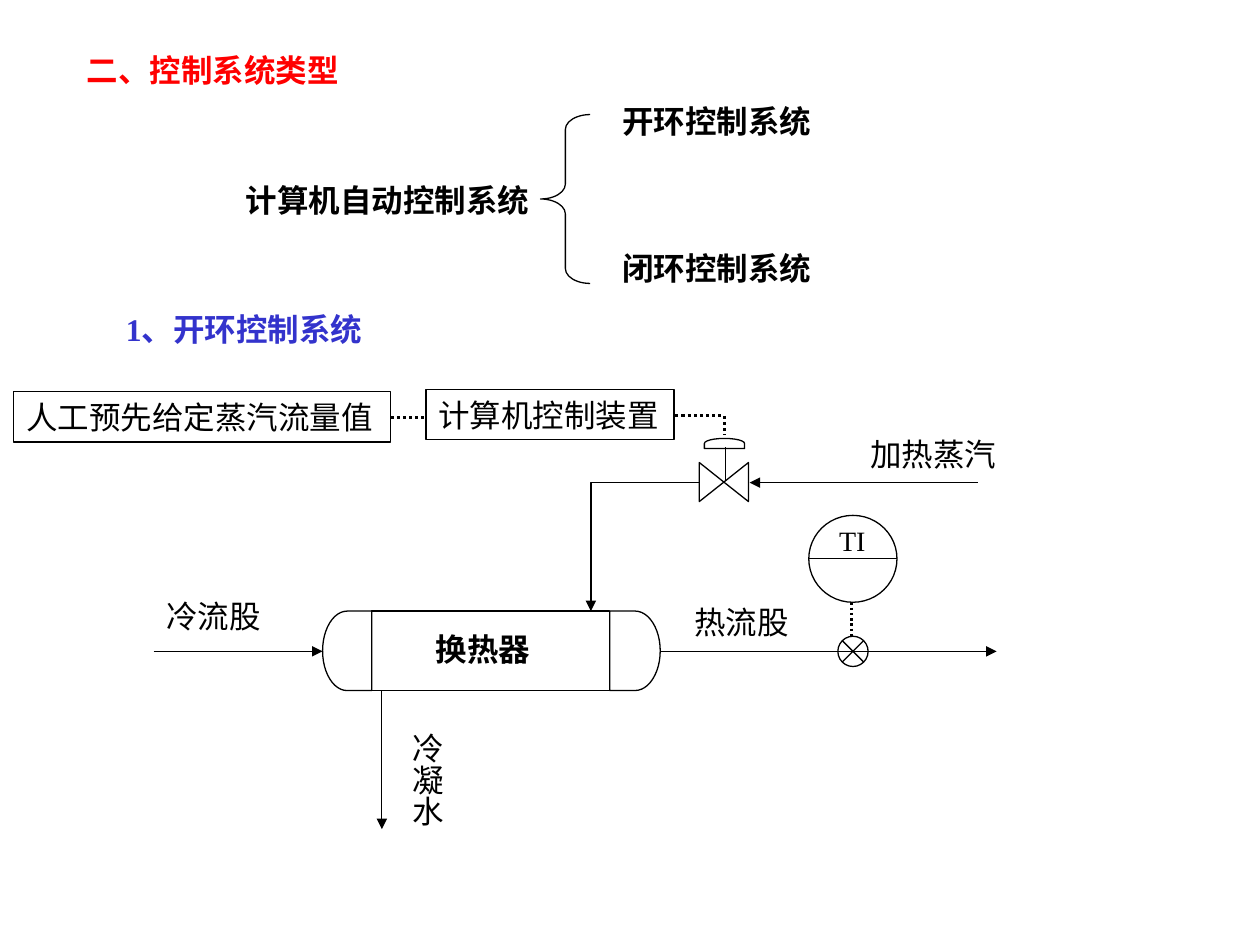
from dataclasses import dataclass

from lxml import etree
from pptx import Presentation
from pptx import util as u
from pptx.dml.color import RGBColor
from pptx.enum import dml, shapes, text
from pptx.oxml.ns import qn

Pt = u.Pt
Kind = shapes.MSO_SHAPE
BLACK = RGBColor(0, 0, 0)
RED = RGBColor(0xFF, 0, 0)
BLUE = RGBColor(0x33, 0x33, 0xCC)
FACE = "Times New Roman"
ROW = 28.8       # height of a one-line box
FLOW = 372.2     # axis of the cold and hot streams
STEAM = 275.8    # axis of the steam pipe
TOP = 349.2      # exchanger top
TALL = 45.4      # exchanger height
LINK = 238.32    # axis of the set-point signal


@dataclass
class Label:
    words: str
    x: float
    y: float
    w: float
    h: float = ROW
    size: float = 18
    bold: bool = False
    color: RGBColor = BLACK
    tall: bool = False


@dataclass
class Part:
    kind: Kind
    x: float
    y: float
    w: float
    h: float
    turn: float = 0


@dataclass
class Path:
    spots: list
    width: float = 0.75
    arrow: bool = False
    dots: bool = False


LABELS = [
    Label("二、控制系统类型", 42.5, 25.9, 311.8, bold=True, color=RED),
    Label("计算机自动控制系统", 133.2, 100.1, 181.4, bold=True),
    Label("开环控制系统", 348.5, 54.7, 141.8, bold=True),
    Label("闭环控制系统", 348.5, 139, 141.8, bold=True),
    Label("1、开环控制系统", 64.8, 173.5, 238.3, bold=True, color=BLUE),
    Label("换热器", 241.9, 356.4, 73.4, bold=True),
    Label("冷流股", 87.8, 337.7, 85),
    Label("热流股", 389.5, 341.3, 85),
    Label("加热蒸汽", 490.3, 244.8, 91.4),
    Label("冷凝水", 222.5, 411.8, 36, 73.4, tall=True),
    Label(" TI", 468.7, 295.9, 40.3, 26.6, size=16),
]
SETTER = Label("人工预先给定蒸汽流量值", 7.9, 223.92, 215.3)
DEVICE = Label("计算机控制装置", 243.4, 222.5, 141.8)

PARTS = [
    Part(Kind.FLOWCHART_DELAY, 184.3, TOP, 28.1, TALL, 180),
    Part(Kind.FLOWCHART_DELAY, 348.5, TOP, 28.8, TALL),
    Part(Kind.RECTANGLE, 212.4, TOP, 136.1, TALL),
    Part(Kind.FLOWCHART_COLLATE, 402.5, 261.4, 22.3, 28.1, 270),
    Part(Kind.FLOWCHART_DELAY, 411.1, 241.9, 5.8, 23, 270),
    Part(Kind.OVAL, 462.2, 294.5, 50.4, 49.7),
    Part(Kind.FLOWCHART_SUMMING_JUNCTION, 478.8, 363.6, 17.3, 17.3),
]
BRACE = Part(Kind.LEFT_BRACE, 308.9, 65.5, 28.4, 96.5)

PATHS = [
    Path([(87.8, FLOW), (184.3, FLOW)], arrow=True),
    Path([(377.3, FLOW), (569.5, FLOW)], arrow=True),
    Path([(558.7, STEAM), (428.4, STEAM)], arrow=True),
    Path([(399.6, STEAM), (337.7, STEAM), (337.7, TOP)], arrow=True),
    Path([(218.2, TOP + TALL), (218.2, 473.8)], arrow=True),
    Path([(414.7, 255.6), (414.7, 275)]),
    Path([(462.2, 319), (512.6, 319)]),
    Path([(486.7, 344.2), (486.7, 364.3)], 1.5, dots=True),
    Path([(385.9, 237.6), (414, 237.6), (414, 248.4)], 1.75, dots=True),
]
SIGNAL = Path([(223.2, LINK), (243.4, LINK)], 1.75, dots=True)


def apply(obj, values: dict) -> None:
    for key, value in values.items():
        setattr(obj, key, value)


def frame(item) -> list:
    return [Pt(n) for n in (item.x, item.y, item.w, item.h)]


def write(shape, label: Label) -> None:
    body = shape.text_frame
    side, edge = (3.6, 7.2) if label.tall else (7.2, 3.6)
    apply(body, {
        "margin_left": Pt(side), "margin_right": Pt(side),
        "margin_top": Pt(edge), "margin_bottom": Pt(edge),
        "word_wrap": True,
        "auto_size": text.MSO_AUTO_SIZE.SHAPE_TO_FIT_TEXT,
        "vertical_anchor": text.MSO_ANCHOR.TOP,
    })
    if label.tall:
        body._txBody.bodyPr.set("vert", "eaVert")
    para = body.paragraphs[0]
    para.alignment = text.PP_ALIGN.LEFT
    run = para.add_run()
    run.text = label.words
    apply(run.font, {"name": FACE, "size": Pt(label.size), "bold": label.bold})
    run.font.color.rgb = label.color


def put_label(tree, label: Label) -> None:
    write(tree.add_textbox(*frame(label)), label)


def outline(shape, width: float = 0.75) -> None:
    shape.line.color.rgb = BLACK
    shape.line.width = Pt(width)


def put_part(tree, part: Part):
    shape = tree.add_shape(part.kind, *frame(part))
    shape.rotation = part.turn
    shape.shadow.inherit = False
    shape.fill.background()
    outline(shape)
    return shape


def put_box(tree, label: Label):
    shape = put_part(tree, Part(Kind.RECTANGLE, label.x, label.y, label.w, label.h))
    write(shape, label)
    return shape


def put_path(tree, path: Path):
    """Draw a connector for two spots, an open freeform for more."""
    spots = [(Pt(x), Pt(y)) for x, y in path.spots]
    if len(spots) == 2:
        shape = tree.add_connector(shapes.MSO_CONNECTOR.STRAIGHT, *spots[0], *spots[1])
    else:
        build = tree.build_freeform(*spots[0])
        build.add_line_segments(spots[1:], close=False)
        shape = build.convert_to_shape()
        shape.fill.background()
    outline(shape, path.width)
    if path.dots:
        shape.line.dash_style = dml.MSO_LINE.ROUND_DOT
    if path.arrow:
        etree.SubElement(shape.line._get_or_add_ln(), qn("a:tailEnd"), type="triangle")
    etree.SubElement(shape._element.spPr, qn("a:effectLst"))
    return shape


def main() -> None:
    deck = Presentation()
    deck.slide_width, deck.slide_height = Pt(720), Pt(540)
    tree = deck.slides.add_slide(deck.slide_layouts[6]).shapes
    brace = put_part(tree, BRACE)
    brace.adjustments[0] = 0.3
    for part in PARTS:
        put_part(tree, part)
    for path in PATHS:
        put_path(tree, path)
    for label in LABELS:
        put_label(tree, label)
    setter = put_box(tree, SETTER)
    put_box(tree, DEVICE)
    put_path(tree, SIGNAL).begin_connect(setter, 3)
    deck.save("out.pptx")


if __name__ == "__main__":
    main()
